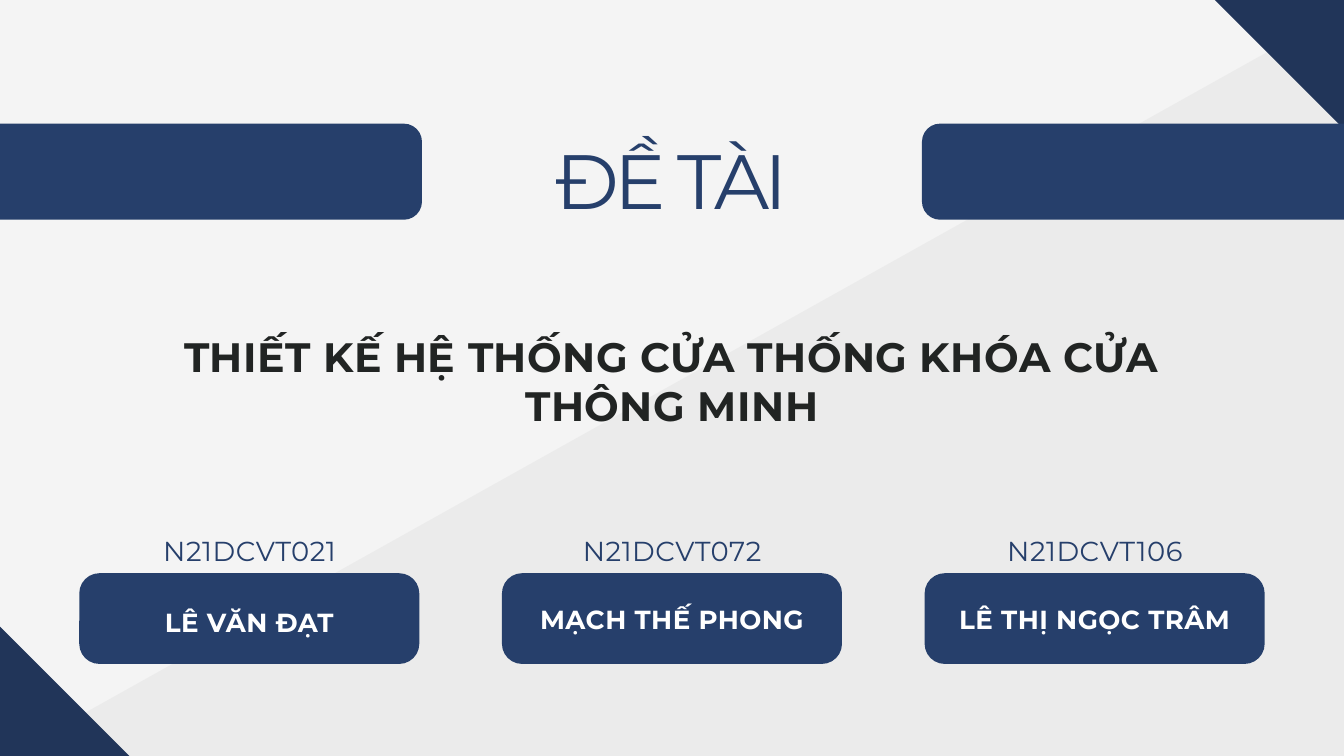
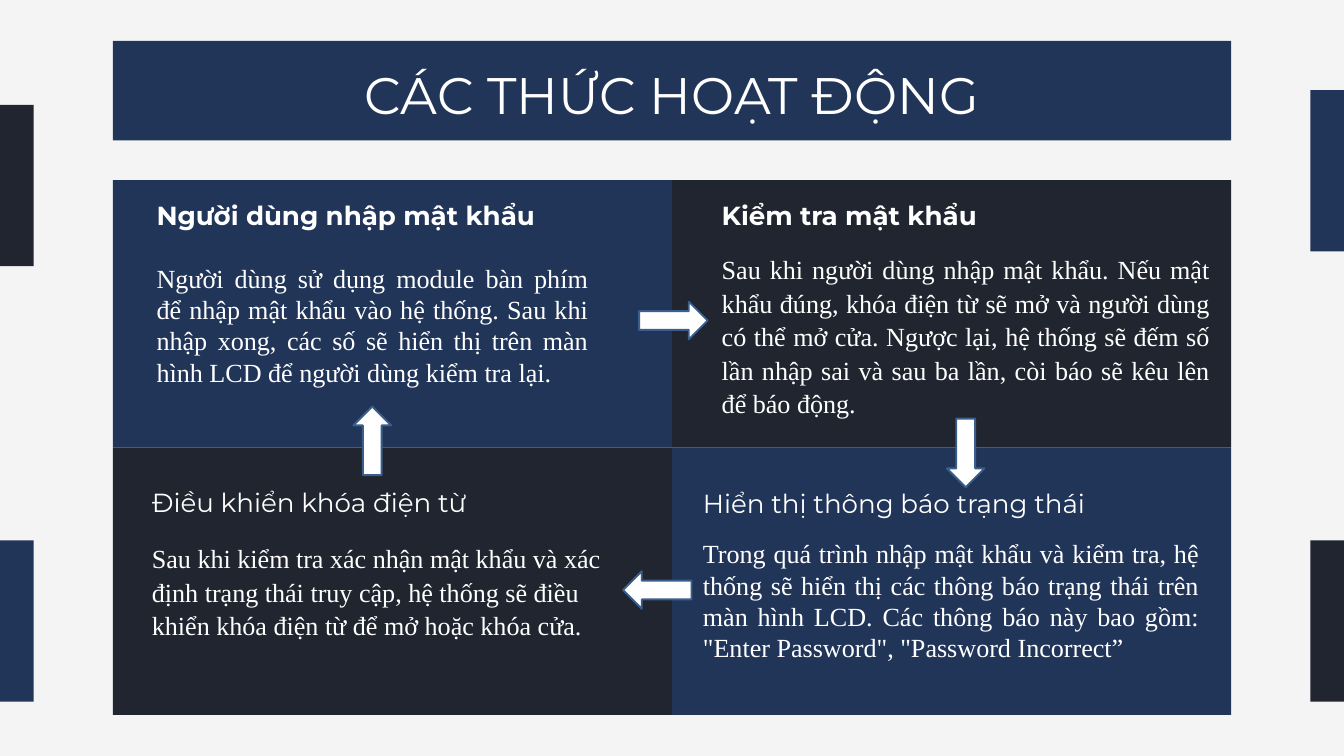
from pptx import Presentation
from pptx.dml.color import RGBColor
from pptx.enum.shapes import MSO_SHAPE as SHAPE
from pptx.enum.text import MSO_AUTO_SIZE as AUTO, PP_ALIGN as ALIGN
from pptx.oxml.ns import qn
from pptx.util import Inches, Pt
from lxml import etree

W, H = 20, 11.25
PAPER, NAVY, BLUE, DARK = "F4F4F4", "213559", "263F6B", "20252F"
WHITE, INK, GREY, EDGE = "FFFFFF", "212423", "545454", "3A5F8C"
SANS, SERIF = "Montserrat", "Times New Roman"


def color(value):
    return RGBColor.from_string(value)


def add_slide(prs):
    s = prs.slides.add_slide(prs.slide_layouts[6])
    s.background.fill.solid()
    s.background.fill.fore_color.rgb = color(PAPER)
    return s


def add_block(s, box, fill, kind=SHAPE.RECTANGLE, rotation=0, radius=None, edge=None, alpha=None):
    sp = s.shapes.add_shape(kind, *map(Inches, box))
    sp.shadow.inherit = False
    sp.rotation = rotation
    sp.fill.solid()
    sp.fill.fore_color.rgb = color(fill)
    if radius:
        sp.adjustments[0] = radius / min(box[2:])
    if edge:
        sp.line.color.rgb = color(edge)
        sp.line.width = Pt(2)
    else:
        sp.line.fill.background()
    if alpha:
        clr = sp.fill._xPr.find(qn("a:solidFill"))[0]
        etree.SubElement(clr, qn("a:alpha")).set("val", str(alpha * 1000))
    return sp


def add_text(s, box, text, size, fill, font=SANS, bold=False, align=ALIGN.LEFT,
             line=None, after=None, track=0):
    tf = s.shapes.add_textbox(*map(Inches, box)).text_frame
    tf.word_wrap = True
    tf.auto_size = AUTO.SHAPE_TO_FIT_TEXT
    tf.margin_left = tf.margin_right = tf.margin_top = tf.margin_bottom = 0
    p = tf.paragraphs[0]
    p.text = text
    p.alignment = align
    if line:
        p.line_spacing = line
    if after:
        p.space_after = Pt(after)
    r = p.runs[0]
    r.font.name = font
    r.font.size = Pt(size)
    r.font.bold = bold
    r.font.color.rgb = color(fill)
    if track:
        r._r.get_or_add_rPr().set("spc", str(round(track * 100)))


def add_backdrop(s):
    add_block(s, (-1.15, 4.84, 28.2, 10.48), GREY, rotation=330.8, alpha=5)
    w, h = 5.79, 2.72
    for x, y in ((0, H), (W, 0)):
        add_block(s, (x - w / 2, y - h / 2, w, h), NAVY, rotation=45)


def add_topic_band(s, box):
    x, y, w, h = box
    bar = 9.03
    for left in (x, x + w - bar):
        add_block(s, (left, y, bar, h), BLUE, SHAPE.ROUNDED_RECTANGLE, radius=0.27)
    add_text(s, (6.75, y + 0.38, 6.49, 1.14), "ĐỀ TÀI", 82.4, BLUE,
             align=ALIGN.CENTER, line=Pt(80.7), track=-4.8)


def add_member(s, box, code, name, name_dy):
    x, y, w, h = box
    add_block(s, box, BLUE, SHAPE.ROUNDED_RECTANGLE, radius=0.3)
    add_text(s, (x + 0.44, y + name_dy, w - 0.88, 0.47), name, 28, WHITE, bold=True,
             align=ALIGN.CENTER, line=Pt(35), track=0.5)
    add_text(s, (x + 0.62, y - 0.87, w - 1.23, 0.69), code, 29.4, BLUE,
             align=ALIGN.CENTER, line=Pt(55.9), track=0.6)


def build_topic(prs):
    s = add_slide(prs)
    add_backdrop(s)
    add_topic_band(s, (-2.75, 1.84, 25.5, 1.43))
    add_text(s, (2.67, 4.93, 14.66, 1.48), "THIẾT KẾ HỆ THỐNG CỬA THỐNG KHÓA CỬA THÔNG MINH",
             44, INK, bold=True, align=ALIGN.CENTER, track=0.5)
    members = [
        ("N21DCVT021", "LÊ VĂN ĐẠT", 0.48),
        ("N21DCVT072", "MẠCH THẾ PHONG", 0.43),
        ("N21DCVT106", "LÊ THỊ NGỌC TRÂM", 0.43),
    ]
    for i, (code, name, name_dy) in enumerate(members):
        add_member(s, (1.18 + i * 6.29, 8.53, 5.06, 1.35), code, name, name_dy)


def add_title_band(s, box, title):
    x, y, w, h = box
    add_block(s, box, NAVY)
    add_text(s, (x + 1.45, y + 0.27, w - 2.9, 0.96), title, 55, WHITE,
             align=ALIGN.CENTER, line=Pt(70.4))


def add_side_tabs(s):
    w, h = 0.5, 2.4
    for x, y, fill in ((0, 1.56, DARK), (0, 8.04, NAVY), (W - w, 1.34, NAVY), (W - w, 8.04, DARK)):
        add_block(s, (x, y, w, h), fill)


def add_step(s, box, fill, step):
    x, y, w, h = box
    heading, bold, body, left, head_dy, body_dy, body_w, align, loose = step
    add_block(s, box, fill)
    add_text(s, (x + left, y + head_dy, 6.7, 0.39), heading, 28, WHITE, bold=bold, line=Pt(28))
    add_text(s, (x + left, y + body_dy, body_w, 1.88), body, 28, WHITE, SERIF, align=align,
             line=1.07 if loose else None, after=8 if loose else None)


def add_cycle_arrows(s, box):
    x, y, w, h = box
    aw, ah = 1.02, 0.56
    for dx, dy, angle in ((8.34, 2.09, 0), (12.69, 4.06, 90), (8.1, 6.1, 180), (3.86, 3.88, 270)):
        add_block(s, (x + dx - aw / 2, y + dy - ah / 2, aw, ah), WHITE,
                  SHAPE.RIGHT_ARROW, rotation=angle, edge=EDGE)


def add_step_grid(s, box, steps):
    x, y, w, h = box
    cw, ch = w / 2, h / 2
    for i, step in enumerate(steps):
        row, col = divmod(i, 2)
        fill = DARK if (row + col) % 2 else NAVY
        add_step(s, (x + col * cw, y + row * ch, cw, ch), fill, step)
    add_cycle_arrows(s, box)


def build_operation(prs):
    s = add_slide(prs)
    add_title_band(s, (1.68, 0.61, 16.64, 1.48), "CÁC THỨC HOẠT ĐỘNG")
    steps = [
        ("Người dùng nhập mật khẩu", True,
         "Người dùng sử dụng module bàn phím để nhập mật khẩu vào hệ thống. Sau khi nhập xong, "
         "các số sẽ hiển thị trên màn hình LCD để người dùng kiểm tra lại.",
         0.65, 0.36, 1.22, 6.42, ALIGN.JUSTIFY, False),
        ("Kiểm tra mật khẩu", True,
         "Sau khi người dùng nhập mật khẩu. Nếu mật khẩu đúng, khóa điện từ sẽ mở và người dùng "
         "có thể mở cửa. Ngược lại, hệ thống sẽ đếm số lần nhập sai và sau ba lần, "
         "còi báo sẽ kêu lên để báo động.",
         0.74, 0.36, 1.06, 7.26, ALIGN.JUSTIFY, True),
        ("Điều khiển khóa điện từ", False,
         "Sau khi kiểm tra xác nhận mật khẩu và xác định trạng thái truy cập, hệ thống sẽ điều "
         "khiển khóa điện từ để mở hoặc khóa cửa.",
         0.58, 0.66, 1.38, 7.15, ALIGN.LEFT, True),
        ("Hiển thị thông báo trạng thái", False,
         "Trong quá trình nhập mật khẩu và kiểm tra, hệ thống sẽ hiển thị các thông báo trạng thái "
         "trên màn hình LCD. Các thông báo này bao gồm: \"Enter Password\", \"Password Incorrect”",
         0.46, 0.67, 1.34, 7.38, ALIGN.JUSTIFY, False),
    ]
    add_step_grid(s, (1.68, 2.68, 16.64, 7.96), steps)
    add_side_tabs(s)


def main():
    prs = Presentation()
    prs.slide_width, prs.slide_height = Inches(W), Inches(H)
    build_topic(prs)
    build_operation(prs)
    prs.save("out.pptx")


if __name__ == "__main__":
    main()
